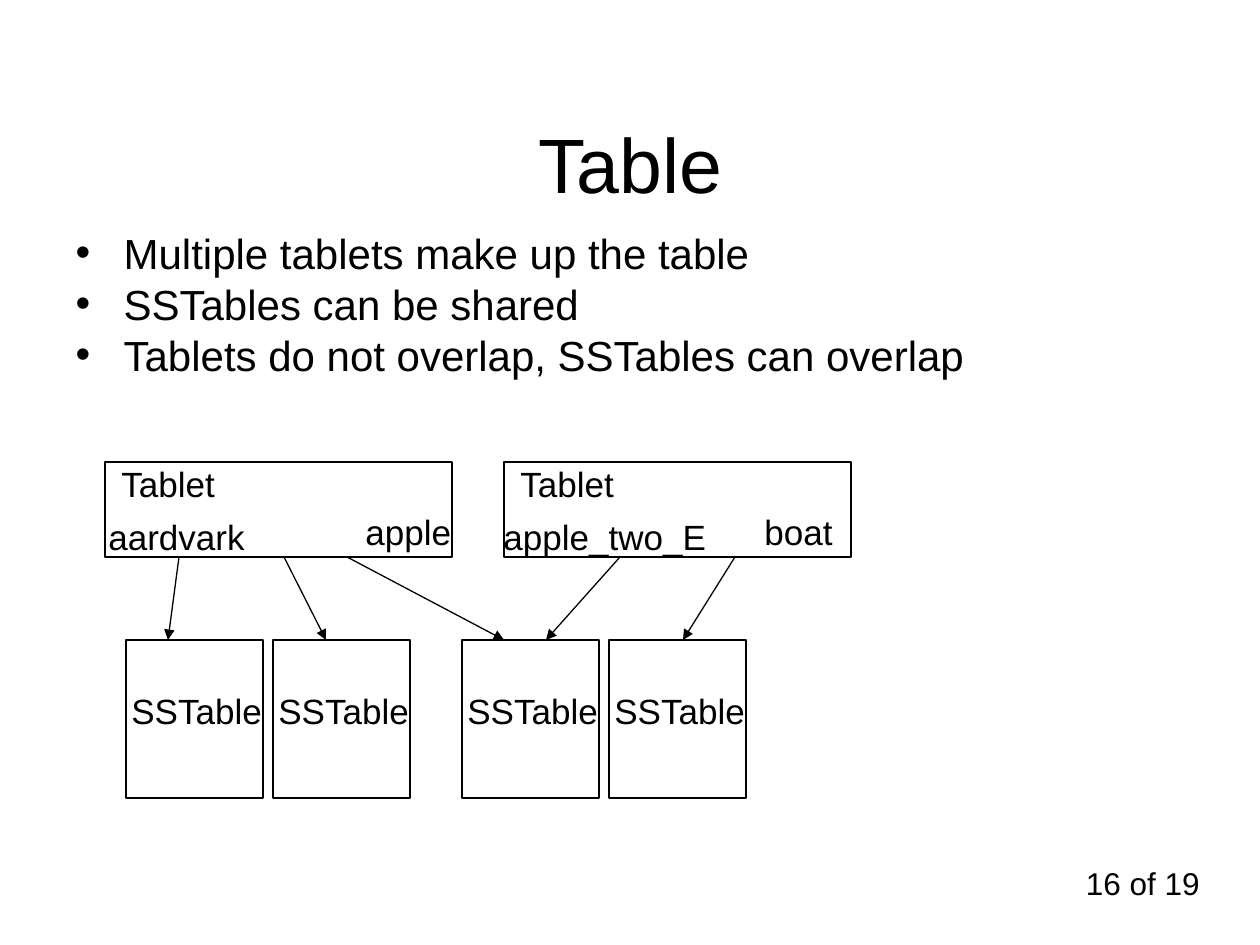
"""Build the slide on tablets and the SSTables they share."""
from lxml import etree
from pptx import Presentation
from pptx.dml.color import RGBColor
from pptx.enum.shapes import MSO_CONNECTOR, MSO_SHAPE
from pptx.enum.text import MSO_ANCHOR, MSO_AUTO_SIZE, PP_ALIGN
from pptx.oxml.ns import qn
from pptx.util import Emu, Pt

STRAIGHT, RECT = MSO_CONNECTOR.STRAIGHT, MSO_SHAPE.RECTANGLE
TOP, MIDDLE = MSO_ANCHOR.TOP, MSO_ANCHOR.MIDDLE
NONE, GROW = MSO_AUTO_SIZE.NONE, MSO_AUTO_SIZE.SHAPE_TO_FIT_TEXT
LEFT, CENTER, RIGHT = PP_ALIGN.LEFT, PP_ALIGN.CENTER, PP_ALIGN.RIGHT

COLORS = {"ink": "000000"}
FONT = "Arial"

TITLE = "Table"
BULLETS = [
    "Multiple tablets make up the table",
    "SSTables can be shared",
    "Tablets do not overlap, SSTables can overlap",
]
PAGE = "16 of 19"
SSTABLE = "SSTable"
SSTABLE_LEFTS = [126, 273, 462, 609]
SSTABLE_TOP, SSTABLE_W, SSTABLE_H = 640, 137, 158
TABLETS = [
    (105, [("Tablet", 4, -6, 124), ("aardvark", -9, 47, 166), ("apple", 248, 42, 114)]),
    (504, [("Tablet", 4, -6, 124), ("apple_two_E", -13, 47, 232), ("boat", 248, 42, 96)]),
]
TABLET_TOP, TABLET_W, TABLET_H = 462, 347, 95
LABEL_H = 55
ARROWS = [(179, 168), (284, 326), (347, 504), (620, 546), (735, 683)]


def px(n):
    return Emu(round(n * 914400 / 126))


def color(name):
    return RGBColor.from_string(COLORS[name])


def write(tf, lines, size=20, align=LEFT, anchor=TOP, wrap=True, fit=NONE):
    tf.word_wrap, tf.auto_size, tf.vertical_anchor = wrap, fit, anchor
    for i, text in enumerate(lines):
        p = tf.add_paragraph() if i else tf.paragraphs[0]
        p.alignment = align
        r = p.add_run()
        r.text = text
        r.font.size, r.font.name = Pt(size), FONT
        r.font.color.rgb = color("ink")


def place(sp, *box):
    sp.left, sp.top, sp.width, sp.height = map(px, box)


def add_bullets(tf):
    for p in tf.paragraphs:
        p.line_spacing, p.space_before = 0.8, Pt(6)
        pPr = p._p.get_or_add_pPr()
        pPr.set("marL", str(px(48)))
        pPr.set("indent", str(-px(48)))
        clr = etree.SubElement(pPr, qn("a:buClr"))
        etree.SubElement(clr, qn("a:srgbClr"), val=COLORS["ink"])
        etree.SubElement(pPr, qn("a:buChar"), char="•")


def outline(sp):
    sp.line.color.rgb = color("ink")
    sp.line.width = Pt(0.75)


def add_box(s, *box):
    sp = s.shapes.add_shape(RECT, *map(px, box))
    sp.shadow.inherit = False
    sp.fill.background()
    outline(sp)


def add_label(s, text, *box, **fmt):
    sp = s.shapes.add_textbox(*map(px, box))
    write(sp.text_frame, [text], **fmt)


def add_arrow(s, x1, y1, x2, y2):
    cn = s.shapes.add_connector(STRAIGHT, *map(px, (x1, y1, x2, y2)))
    outline(cn)
    etree.SubElement(cn.line._get_or_add_ln(), qn("a:tailEnd"), type="triangle")
    etree.SubElement(cn._element.spPr, qn("a:effectLst"))


def main():
    prs = Presentation()
    prs.slide_width, prs.slide_height = px(1260), px(945)
    s = prs.slides.add_slide(prs.slide_layouts[1])

    title, body = s.placeholders
    place(title, 95, 84, 1071, 158)
    write(title.text_frame, [TITLE], size=44, align=CENTER, anchor=MIDDLE)
    place(body, 63, 231, 1155, 168)
    write(body.text_frame, BULLETS, size=24)
    add_bullets(body.text_frame)
    add_label(s, PAGE, 919, 858, 293, 66, size=18, align=RIGHT)

    for x in SSTABLE_LEFTS:
        add_box(s, x, SSTABLE_TOP, SSTABLE_W, SSTABLE_H)
        add_label(s, SSTABLE, x - 7, SSTABLE_TOP + 43, 162, LABEL_H, wrap=False, fit=GROW)

    for x, labels in TABLETS:
        add_box(s, x, TABLET_TOP, TABLET_W, TABLET_H)
        for text, dx, dy, w in labels:
            add_label(s, text, x + dx, TABLET_TOP + dy, w, LABEL_H, wrap=False, fit=GROW)

    for start, end in ARROWS:
        add_arrow(s, start, TABLET_TOP + TABLET_H, end, SSTABLE_TOP)

    prs.save("out.pptx")


if __name__ == "__main__":
    main()
